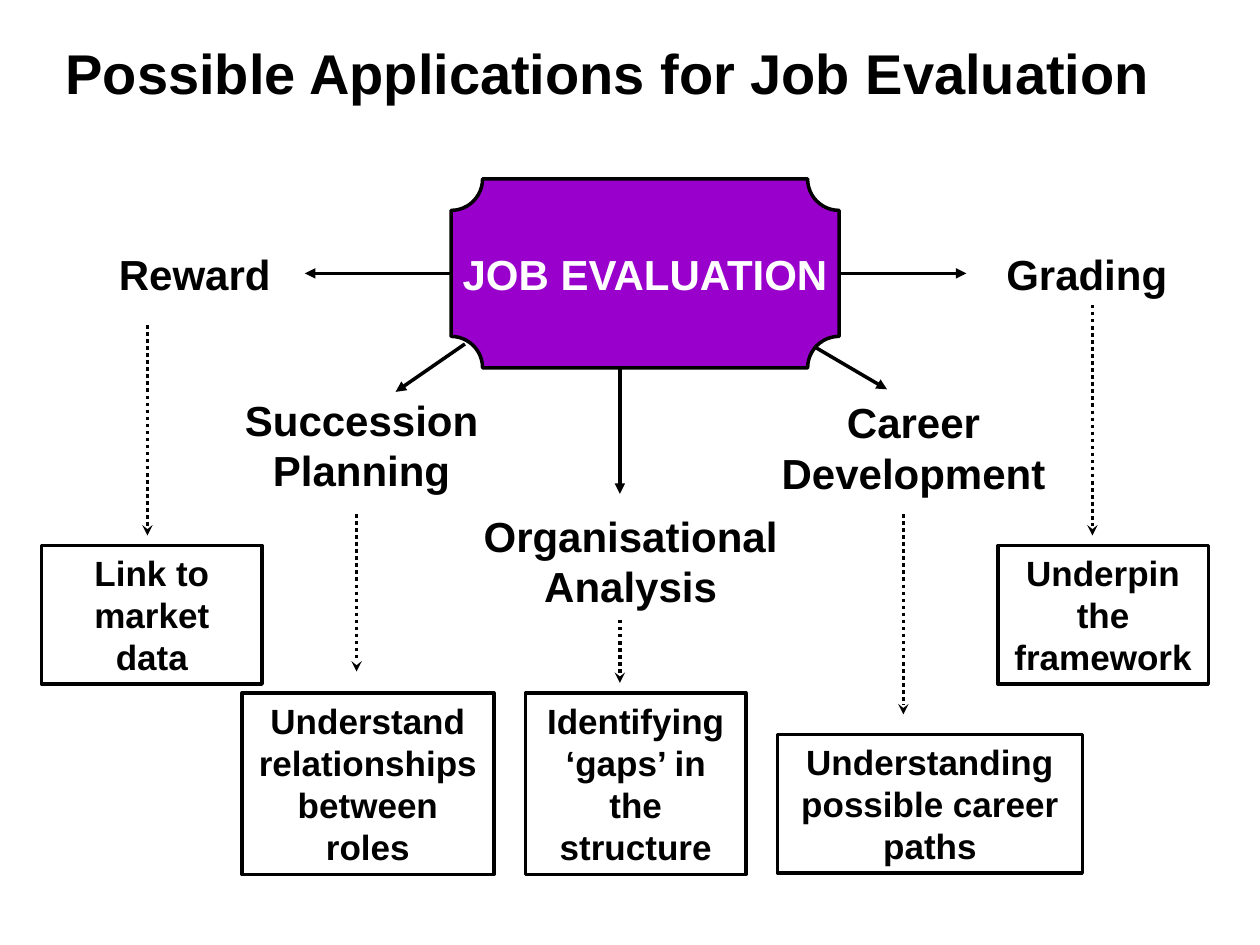
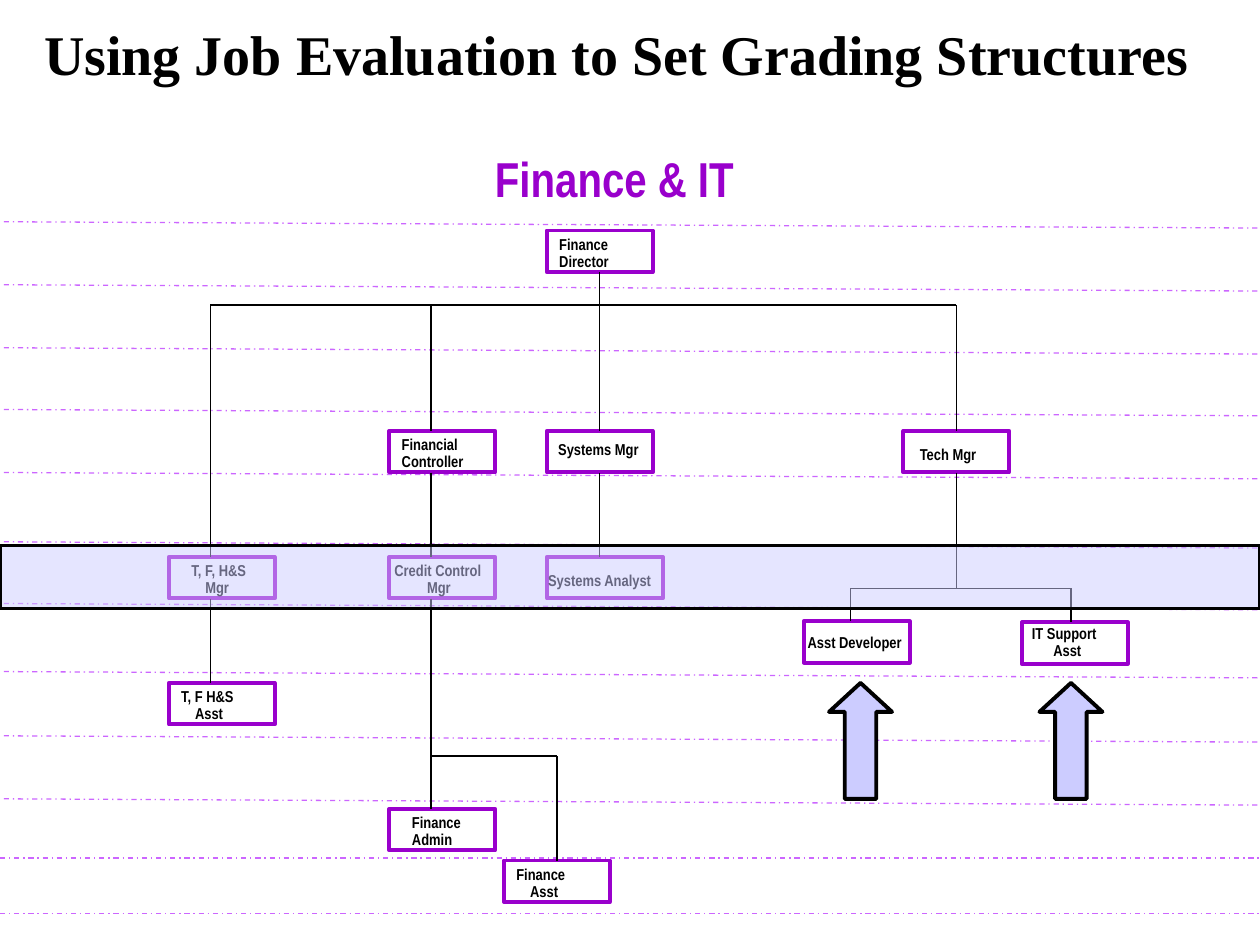
"""Build two slides on the applications of job evaluation and on grading structures."""
from pptx import Presentation
from pptx.dml.color import RGBColor
from pptx.enum.dml import MSO_LINE
from pptx.enum.shapes import MSO_CONNECTOR, MSO_SHAPE
from pptx.enum.text import MSO_ANCHOR as ANCHOR, MSO_AUTO_SIZE, PP_ALIGN as ALIGN
from pptx.oxml.ns import qn
from pptx.util import Inches, Pt
from lxml.etree import SubElement

COLOURS = {"ink": "000000", "paper": "FFFFFF", "purple": "9900CC",
           "guide": "CC66FF", "lilac": "CCCCFF"}
INSETS = (0.1, 0.05, 0.1, 0.05)
TOP, LEFT, BOTTOM, RIGHT = range(4)


class Deck:
    def __init__(self):
        self.show = Presentation()
        self.show.slide_width, self.show.slide_height = Inches(10), Inches(7.5)
        self.slide = None

    def colour(self, name):
        return RGBColor.from_string(COLOURS[name])

    def set_text(self, frame, words, size, font="Arial", colour="ink", align=ALIGN.CENTER,
                 anchor=ANCHOR.TOP, insets=INSETS, wrap=True, spacing=1.0, indent=0):
        frame.auto_size = MSO_AUTO_SIZE.NONE
        frame.word_wrap, frame.vertical_anchor = wrap, anchor
        (frame.margin_left, frame.margin_top,
         frame.margin_right, frame.margin_bottom) = map(Inches, insets)
        frame.text = words
        for number, paragraph in enumerate(frame.paragraphs):
            paragraph.alignment, paragraph.line_spacing = align, spacing
            if number and indent:
                paragraph._p.get_or_add_pPr().set("marL", str(Inches(indent)))
            for run in paragraph.runs:
                run.font.name, run.font.size, run.font.bold = font, Pt(size), True
                run.font.color.rgb = self.colour(colour)

    def new_slide(self, title, place, font, spacing):
        self.slide = self.show.slides.add_slide(self.show.slide_layouts[5])
        heading = self.slide.shapes.title
        heading.left, heading.top, heading.width, heading.height = map(Inches, place)
        self.set_text(heading.text_frame, title, 32, font, align=ALIGN.LEFT,
                      anchor=ANCHOR.MIDDLE, spacing=spacing)

    def label(self, place, words, size=24, **style):
        box = self.slide.shapes.add_textbox(*map(Inches, place))
        self.set_text(box.text_frame, words, size, **style)

    def shape(self, place, kind=MSO_SHAPE.RECTANGLE, fill=None, line="ink", weight=2.25,
              opacity=None):
        shape = self.slide.shapes.add_shape(kind, *map(Inches, place))
        shape.shadow.inherit = False
        shape.line.color.rgb, shape.line.width = self.colour(line), Pt(weight)
        if fill is None:
            shape.fill.background()
        else:
            shape.fill.solid()
            shape.fill.fore_color.rgb = self.colour(fill)
        if opacity:
            tint = shape._element.spPr.find(qn("a:solidFill"))[0]
            SubElement(tint, qn("a:alpha")).set("val", str(opacity * 1000))
        return shape

    def line(self, start, end, colour="ink", weight=0.75, dash=None, head=None,
             source=None, target=None):
        line = self.slide.shapes.add_connector(
            MSO_CONNECTOR.STRAIGHT, *map(Inches, (*start, *end)))
        line.line.color.rgb, line.line.width = self.colour(colour), Pt(weight)
        if dash:
            line.line.dash_style = dash
        if head:
            outline = line._element.spPr.find(qn("a:ln"))
            SubElement(outline, qn("a:tailEnd")).set("type", head)
        SubElement(line._element.spPr, qn("a:effectLst"))
        if source:
            line.begin_connect(*source)
        if target:
            line.end_connect(*target)


def applications(deck):
    deck.new_slide("Possible Applications for Job Evaluation", (0.42, 0, 9, 1.21), "Arial", 0.9)
    hub = deck.shape((3.58, 1.42, 3.08, 1.5), MSO_SHAPE.PLAQUE, "purple", weight=2)
    deck.set_text(hub.text_frame, "JOB EVALUATION", 24, colour="paper",
                  anchor=ANCHOR.MIDDLE, wrap=False)

    for place, application in (
            ((0.67, 1.92, 1.75, 0.5), "Reward"),
            ((1.83, 3.08, 2.08, 0.9), "Succession Planning"),
            ((3.67, 4, 2.67, 0.9), "Organisational Analysis"),
            ((6, 3.1, 2.5, 0.9), "Career Development"),
            ((7.75, 1.92, 1.75, 0.5), "Grading")):
        deck.label(place, application)

    for place, purpose in (
            ((0.33, 4.33, 1.75, 1.1), "Link to market data"),
            ((1.92, 5.5, 2, 1.44), "Understand relationships between roles"),
            ((4.17, 5.5, 1.75, 1.44), "Identifying ‘gaps’ in the structure"),
            ((6.17, 5.83, 2.42, 1.1), "Understanding possible career paths"),
            ((7.92, 4.33, 1.67, 1.1), "Underpin the framework")):
        box = deck.shape(place, weight=2)
        deck.set_text(box.text_frame, purpose, 20)

    for start, end, source in (
            ((3.58, 2.17), (2.42, 2.17), (hub, LEFT)),
            ((3.69, 2.73), (3.14, 3.11), None),
            ((4.92, 2.92), (4.92, 3.92), None),
            ((6.46, 2.75), (7.04, 3.09), None),
            ((6.66, 2.17), (7.67, 2.17), (hub, RIGHT))):
        deck.line(start, end, weight=2, head="triangle", source=source)

    for x, top, bottom in ((1.17, 2.58, 4.25), (2.83, 4.08, 5.33), (4.92, 4.92, 5.42),
                           (7.17, 4.08, 5.67), (8.67, 2.42, 4.25)):
        deck.line((x, top), (x, bottom), weight=2, dash=MSO_LINE.ROUND_DOT, head="stealth")


def grading(deck):
    deck.new_slide("Using Job Evaluation to Set Grading Structures",
                   (0.25, 0, 9.5, 0.92), "Times New Roman", 0.87)
    for y in (1.76, 2.26, 2.76, 3.25, 3.75, 4.3, 4.79, 5.33, 5.84, 6.34):
        deck.line((0.03, y), (10, y + 0.05), "guide", dash=MSO_LINE.DASH_DOT)
    for y in (6.81, 7.25):
        deck.line((0, y), (10, y), "guide", dash=MSO_LINE.DASH_DOT)
    deck.label((2.67, 1.16, 4.41, 0.5), "Finance & IT", 28, font="Arial Narrow",
               colour="purple", anchor=ANCHOR.MIDDLE)

    posts = {}
    for x, y, width, post, inset, drop, indent in (
            (4.34, 1.83, 0.84, "Finance\nDirector", 0.1, 0.05, 0),
            (3.09, 3.42, 0.84, "Financial Controller", 0.1, 0.05, 0),
            (4.34, 3.42, 0.84, "Systems Mgr", 0.09, 0.09, 0),
            (7.17, 3.42, 0.84, "Tech Mgr", 0.13, 0.13, 0),
            (1.34, 4.42, 0.84, "T, F, H&S\nMgr", 0.18, 0.05, 0.11),
            (3.09, 4.42, 0.84, "Credit Control\nMgr", 0.04, 0.05, 0.26),
            (4.34, 4.42, 0.92, "Systems Analyst", 0.01, 0.13, 0),
            (6.38, 4.93, 0.84, "Asst Developer", 0.03, 0.11, 0),
            (8.11, 4.94, 0.84, "IT Support\nAsst", 0.08, 0.03, 0.17),
            (1.34, 5.42, 0.84, "T, F H&S\nAsst", 0.1, 0.05, 0.11),
            (3.09, 6.42, 0.84, "Finance Admin", 0.18, 0.05, 0),
            (4, 6.83, 0.84, "Finance\nAsst", 0.1, 0.05, 0.11)):
        box = posts[post] = deck.shape((x, y, width, 0.33), line="purple")
        deck.set_text(box.text_frame, post, 9, "Arial Narrow", align=ALIGN.LEFT,
                      insets=(inset, drop, 0, 0), spacing=0.9, indent=indent)

    director, systems = posts["Finance\nDirector"], posts["Systems Mgr"]
    tech, assistant = posts["Tech Mgr"], posts["Finance\nAsst"]
    for x, top, bottom, source, target in (
            (4.76, 2.16, 3.42, (director, BOTTOM), (systems, TOP)),
            (4.76, 3.75, 4.42, (systems, BOTTOM), None),
            (7.59, 2.42, 3.42, None, (tech, TOP)),
            (7.59, 3.75, 4.67, (tech, BOTTOM), None),
            (4.42, 6, 6.83, None, (assistant, TOP)),
            (1.67, 2.42, 4.42, None, None),
            (1.67, 4.75, 5.42, None, None),
            (3.42, 2.42, 3.42, None, None),
            (3.42, 3.75, 4.42, None, None),
            (3.42, 4.75, 6.42, None, None),
            (6.75, 4.67, 4.93, None, None),
            (8.5, 4.67, 4.94, None, None)):
        deck.line((x, top), (x, bottom), source=source, target=target)
    for left, right, y in ((1.67, 7.59, 2.42), (6.75, 8.5, 4.67), (3.42, 4.42, 6)):
        deck.line((left, y), (right, y))

    deck.shape((0, 4.33, 10, 0.5), fill="lilac", opacity=50)
    for x in (6.58, 8.25):
        arrow = deck.shape((x, 5.42, 0.5, 0.92), MSO_SHAPE.UP_ARROW, "lilac")
        arrow.adjustments[1] = 0.46


def main():
    deck = Deck()
    applications(deck)
    grading(deck)
    deck.show.save("out.pptx")


if __name__ == "__main__":
    main()
